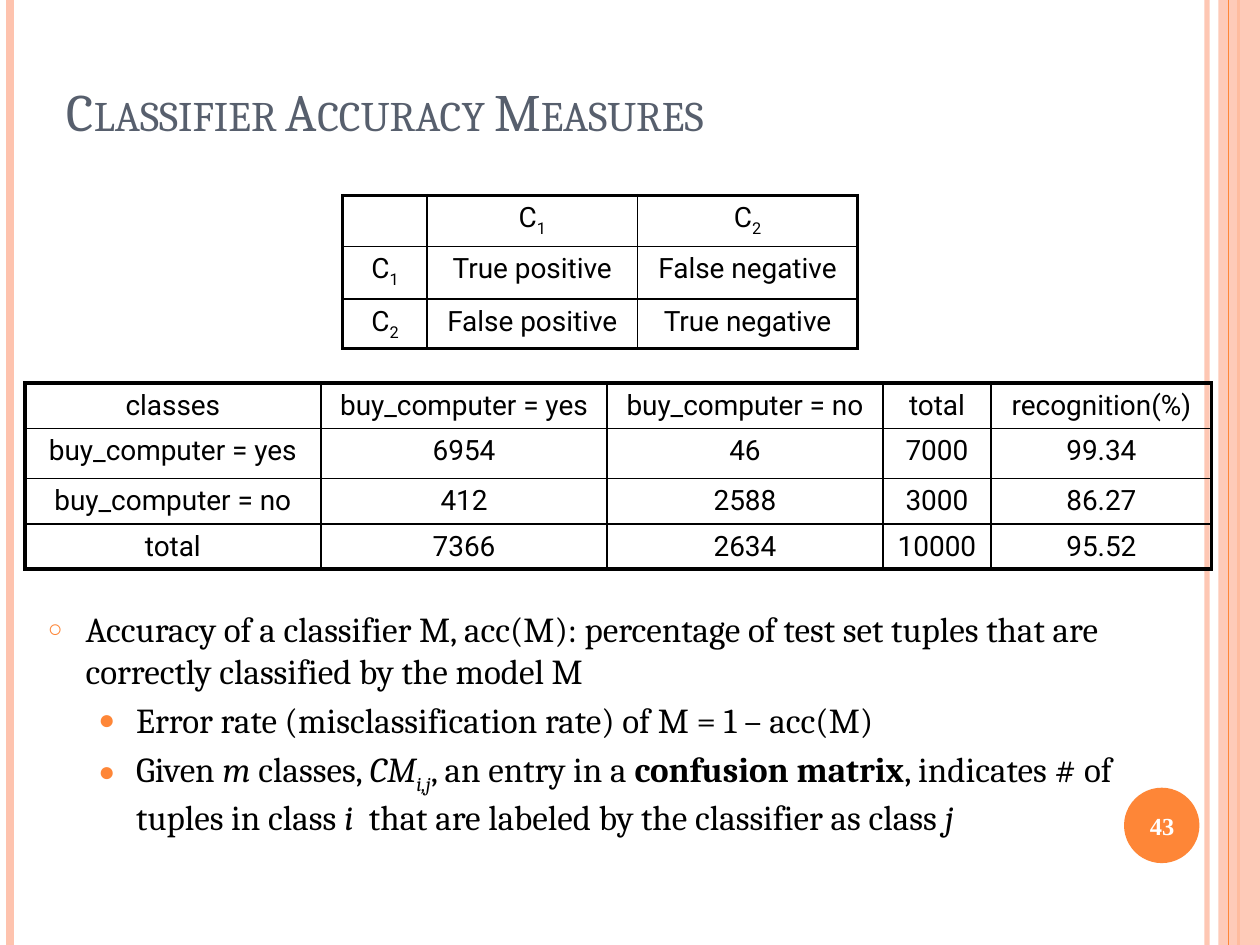
import pptx
import pptx.dml.color
import pptx.enum.shapes
import pptx.enum.text
import pptx.oxml
import pptx.oxml.ns
import pptx.util
from lxml import etree

Cm = pptx.util.Cm
Pt = pptx.util.Pt
PP_ALIGN = pptx.enum.text.PP_ALIGN
ANCHOR = pptx.enum.text.MSO_ANCHOR
SHAPE = pptx.enum.shapes.MSO_SHAPE
qn = pptx.oxml.ns.qn

ORANGE, PEACH, SLATE = "FE8637", "FEC3AE", "575F6D"
BLACK, WHITE = "000000", "FFFFFF"
THICK, THIN = 2.25, 1


def color(value):
    return pptx.dml.color.RGBColor.from_string(value)


def set_alpha(fill_owner, percent):
    clr = next(fill_owner.iter(qn("a:srgbClr")))
    etree.SubElement(clr, qn("a:alpha"), val=str(percent * 1000))


def add_run(p, text, size, font, fill, bold=None, italic=None, baseline=None):
    r = p.add_run()
    r.text = text
    r.font.size, r.font.name = Pt(size), font
    r.font.bold, r.font.italic = bold, italic
    r.font.color.rgb = color(fill)
    if baseline is not None:
        r.font._element.set("baseline", str(baseline * 1000))
    return r


def place(sp, x, y, w, h):
    sp.left, sp.top, sp.width, sp.height = Cm(x), Cm(y), Cm(w), Cm(h)


def add_rule(s, x, height, fill, width, alpha=None):
    """Draw a vertical line down the whole slide."""
    sp = s.shapes.add_connector(
        pptx.enum.shapes.MSO_CONNECTOR.STRAIGHT, Cm(x), 0, Cm(x), Cm(height))
    sp.line.color.rgb = color(fill)
    sp.line.width = Pt(width)
    if alpha:
        set_alpha(sp.line._ln, alpha)
    etree.SubElement(sp._element.spPr, qn("a:effectLst"))


def add_plain_shape(s, kind, x, y, w, h, fill, alpha=None):
    sp = s.shapes.add_shape(kind, Cm(x), Cm(y), Cm(w), Cm(h))
    sp.shadow.inherit = False
    sp.fill.solid()
    sp.fill.fore_color.rgb = color(fill)
    sp.line.fill.background()
    if alpha:
        set_alpha(sp._element.spPr, alpha)


def add_side_bands(s, w, h):
    add_rule(s, w - 1.07, h, PEACH, 3, 93)
    add_rule(s, 0.2, h, PEACH, 4.5)
    add_rule(s, w - 0.43, h, ORANGE, 1.5)
    add_plain_shape(s, SHAPE.RECTANGLE, w - 0.84, 0, 0.84, h, PEACH, 87)
    add_rule(s, w - 0.64, h, ORANGE, 0.75)


def add_page_number(s, x, y, d, number):
    add_plain_shape(s, SHAPE.OVAL, x, y, d, d, ORANGE)
    sp = s.shapes.add_textbox(Cm(x - 0.08), Cm(y + 0.05), Cm(d + 0.18), Cm(d - 0.08))
    tf = sp.text_frame
    tf.word_wrap = True
    tf.vertical_anchor = ANCHOR.MIDDLE
    p = tf.paragraphs[0]
    p.alignment = PP_ALIGN.CENTER
    add_run(p, number, 14, "Times New Roman", WHITE, bold=True)


def fill_title(s, x, y, w, h, text):
    sp = s.shapes.title
    place(sp, x, y, w, h)
    tf = sp.text_frame
    tf.auto_size = pptx.enum.text.MSO_AUTO_SIZE.NONE
    tf.vertical_anchor = ANCHOR.BOTTOM
    p = tf.paragraphs[0]
    p.alignment = PP_ALIGN.LEFT
    r = add_run(p, text, 30, "Cambria", SLATE)
    r.font._element.set("cap", "small")


def set_borders(cell, widths):
    tc_pr = cell._tc.get_or_add_tcPr()
    for side, width in zip(("L", "R", "T", "B"), widths):
        ln = etree.SubElement(tc_pr, qn(f"a:ln{side}"), w=str(Pt(width)))
        fill = etree.SubElement(ln, qn("a:solidFill"))
        etree.SubElement(fill, qn("a:srgbClr"), val=BLACK)


def add_grid(s, x, y, col_widths, row_heights, rows):
    """Add a table with a thick frame; text after "_" in a class name C_n is lowered."""
    n_rows, n_cols = len(row_heights), len(col_widths)
    table = s.shapes.add_table(n_rows, n_cols, Cm(x), Cm(y),
                               Cm(sum(col_widths)), Cm(sum(row_heights))).table
    table.first_row = table.horz_banding = False
    for col, width in zip(table.columns, col_widths):
        col.width = Cm(width)
    for row, height in zip(table.rows, row_heights):
        row.height = Cm(height)
    for i, row in enumerate(rows):
        for j, text in enumerate(row):
            cell = table.cell(i, j)
            on_edge = (j == 0, j == n_cols - 1, i == 0, i == n_rows - 1)
            set_borders(cell, [THICK if edge else THIN for edge in on_edge])
            cell.fill.background()
            p = cell.text_frame.paragraphs[0]
            p.alignment = PP_ALIGN.CENTER
            if text.startswith("C_"):
                add_run(p, "C", 16, "Roboto", BLACK)
                add_run(p, text[2:], 16, "Roboto", BLACK, baseline=-25)
            elif text:
                add_run(p, text, 16, "Roboto", BLACK)


def set_bullet(p, char, size, indent):
    p_pr = p._p.get_or_add_pPr()
    p_pr.set("marL", str(Cm(indent)))
    p_pr.set("indent", str(-Cm(0.76)))
    clr = etree.SubElement(p_pr, qn("a:buClr"))
    etree.SubElement(clr, qn("a:srgbClr"), val=ORANGE)
    etree.SubElement(p_pr, qn("a:buSzPct"), val=str(size * 1000))
    etree.SubElement(p_pr, qn("a:buChar"), char=char)


def fill_body(s, x, y, w, h, items):
    sp = s.placeholders[1]
    place(sp, x, y, w, h)
    tf = sp.text_frame
    tf.auto_size = pptx.enum.text.MSO_AUTO_SIZE.NONE
    styles = [("○", 70, 0.76, 6), ("●", 80, 1.78, 4)]
    for k, (level, runs) in enumerate(items):
        p = tf.add_paragraph() if k else tf.paragraphs[0]
        char, size, indent, before = styles[level]
        p.level = level
        p.alignment = PP_ALIGN.LEFT
        p.space_before = Pt(before)
        set_bullet(p, char, size, indent)
        for text, style in runs:
            add_run(p, text, 20, "Cambria", BLACK, **style)


def main():
    prs = pptx.Presentation()
    w, h = 25.4, 19.05
    prs.slide_width, prs.slide_height = Cm(w), Cm(h)
    s = prs.slides.add_slide(prs.slide_layouts[1])

    add_side_bands(s, w, h)
    fill_title(s, 1.09, 1.52, 21.69, 1.47, "Classifier Accuracy Measures")
    add_grid(s, 0.5, 7.72, [5.97, 5.77, 5.56, 2.18, 4.45], [0.92, 1.01, 0.91, 0.91], [
        ["classes", "buy_computer = yes", "buy_computer = no", "total", "recognition(%)"],
        ["buy_computer = yes", "6954", "46", "7000", "99.34"],
        ["buy_computer = no", "412", "2588", "3000", "86.27"],
        ["total", "7366", "2634", "10000", "95.52"],
    ])
    add_grid(s, 6.91, 3.94, [1.7, 4.24, 4.44], [0.98, 1.06, 1], [
        ["", "C_1", "C_2"],
        ["C_1", "True positive", "False negative"],
        ["C_2", "False positive", "True negative"],
    ])
    add_page_number(s, 22.66, 15.88, 1.52, "43")

    plain, italic = {}, {"italic": True}
    fill_body(s, 0.71, 12.12, 22.4, 5.59, [
        (0, [("Accuracy of a classifier M, acc(M): percentage of test set tuples "
              "that are correctly classified by the model M", plain)]),
        (1, [("Error rate (misclassification rate) of M = 1 – acc(M)", plain)]),
        (1, [("Given ", plain), ("m", italic), (" classes, ", plain), ("CM", italic),
             ("i,j", {"italic": True, "baseline": -25}), (", an entry in a ", plain),
             ("confusion matrix", {"bold": True}),
             (", indicates # of tuples in class ", plain), ("i", italic),
             ("  that are labeled by the classifier as class ", plain), ("j", italic)]),
    ])
    prs.save("out.pptx")


if __name__ == "__main__":
    main()
